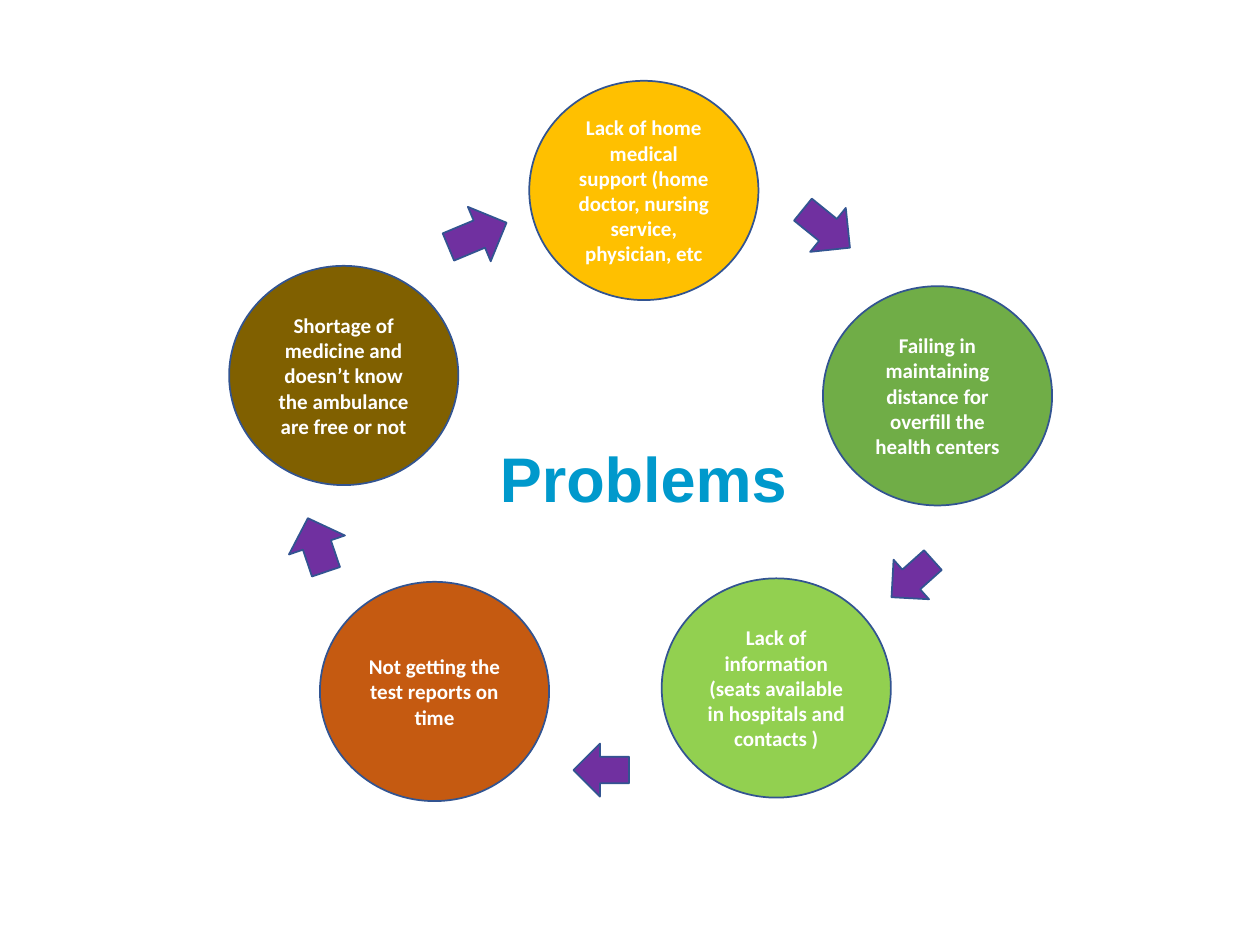
from pptx import Presentation
from pptx.dml.color import RGBColor
from pptx.enum.shapes import MSO_SHAPE
from pptx.enum.text import MSO_ANCHOR, MSO_AUTO_SIZE, PP_ALIGN
from pptx.util import Cm, Pt

OVAL, RIGHT, LEFT = MSO_SHAPE.OVAL, MSO_SHAPE.RIGHT_ARROW, MSO_SHAPE.LEFT_ARROW
CENTER = PP_ALIGN.CENTER
MIDDLE, BOTTOM = MSO_ANCHOR.MIDDLE, MSO_ANCHOR.BOTTOM
NO_FIT = MSO_AUTO_SIZE.NONE

THEME = {
    "outline": "325491",
    "arrow": "7030A0",
    "title": {"name": "Arial", "size": Pt(36), "bold": True, "color": "0099CC"},
    "problem": {"name": "Calibri", "size": Pt(12), "bold": True, "color": "FFFFFF"},
}


def write_text(holder, text, style, anchor):
    frame = holder.text_frame
    frame.text = text
    for name, value in {"word_wrap": True, "auto_size": NO_FIT,
                        "vertical_anchor": anchor}.items():
        setattr(frame, name, value)
    paragraph = frame.paragraphs[0]
    paragraph.alignment = CENTER
    font = paragraph.runs[0].font
    for name, value in style.items():
        if name == "color":
            font.color.rgb = RGBColor.from_string(value)
        else:
            setattr(font, name, value)


def add_outlined(kind, left, top, width, height, color):
    outlined = slide.shapes.add_shape(kind, Cm(left), Cm(top), Cm(width), Cm(height))
    outlined.shadow.inherit = False
    outlined.fill.solid()
    outlined.fill.fore_color.rgb = RGBColor.from_string(color)
    outlined.line.color.rgb = RGBColor.from_string(THEME["outline"])
    outlined.line.width = Pt(1)
    return outlined


prs = Presentation()
prs.slide_width, prs.slide_height = Cm(25.4), Cm(19.05)
slide = prs.slides.add_slide(prs.slide_layouts[5])

# Title in the middle of the cycle
title = slide.shapes.title
title_place = {"left": Cm(9.73), "top": Cm(7.52), "width": Cm(6.48), "height": Cm(3)}
for name, value in title_place.items():
    setattr(title, name, value)
write_text(title, "Problems", THEME["title"], BOTTOM)

# Problems, clockwise from the top: left, top, fill, text
problems = [
    (10.67, 1.63, "FFC000",
     "Lack of home medical support (home doctor, nursing service, physician, etc"),
    (16.59, 5.77, "70AD47",
     "Failing in maintaining distance for overfill the health centers"),
    (13.34, 11.66, "92D050",
     "Lack of information (seats available in hospitals and contacts )"),
    (6.45, 11.73, "C55A11", "Not getting the test reports on time"),
    (4.62, 5.36, "806000",
     "Shortage of medicine and doesn’t know the ambulance are free or not"),
]
for left, top, color, text in problems:
    problem = add_outlined(OVAL, left, top, 4.62, 4.42, color)
    write_text(problem, text, THEME["problem"], MIDDLE)

# Arrows, clockwise from the top: kind, left, top, width, height, rotation
arrows = [
    (RIGHT, 16.05, 4.04, 1.22, 1.14, 39),
    (LEFT, 17.83, 11.13, 1.12, 1.07, 318.1),
    (LEFT, 11.56, 14.99, 1.12, 1.07, 0),
    (RIGHT, 5.82, 10.39, 1.14, 1.19, 251.3),
    (RIGHT, 8.99, 4.14, 1.27, 1.19, 337.3),
]
for kind, left, top, width, height, rotation in arrows:
    arrow = add_outlined(kind, left, top, width, height, THEME["arrow"])
    arrow.rotation = rotation

prs.save("out.pptx")
